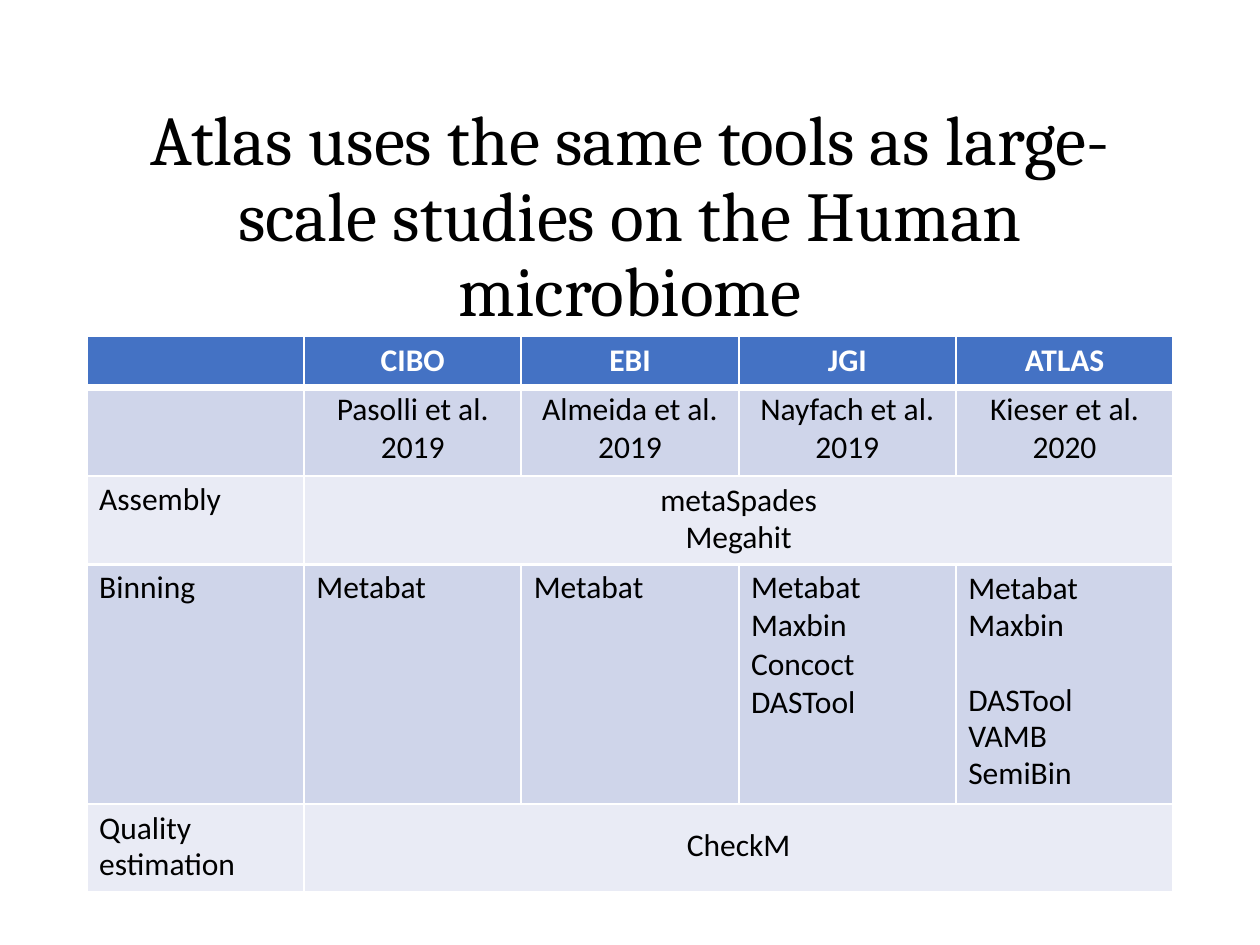
from dataclasses import dataclass

import pptx
import pptx.dml.color
import pptx.enum.text
import pptx.oxml
import pptx.oxml.ns
import pptx.presentation
import pptx.slide
import pptx.table
import pptx.util
from pptx.util import Cm, Pt

COLORS = {
    "text": "000000",
    "white": "FFFFFF",
    "header": "4472C4",
    "dark band": "CFD5EA",
    "light band": "E9EBF5",
}
ALIGN = pptx.enum.text.PP_ALIGN
COLUMN_COUNT = 5
COLUMN_WIDTH = Cm(4.38)
THIN, THICK = 1.5, 4.5


@dataclass(frozen=True)
class CellText:
    lines: tuple[str, ...] = ()
    centered: bool = False
    top: float = 0.08  # margin in cm
    line_points: float | None = None
    gap_before: str = ""  # line that follows a one-line gap
    span: int = 1


@dataclass(frozen=True)
class Row:
    height: float  # cm
    fill: str
    cells: tuple[CellText, ...]
    top_border: float = THIN
    bottom_border: float = THIN
    header: bool = False


def heading(name: str) -> CellText:
    return CellText((name,), centered=True, top=0.1)


def study(authors: str, year: str) -> CellText:
    return CellText((authors, year), centered=True, line_points=21.4)


ROWS = (
    Row(1.04, "header",
        (CellText(), *map(heading, ("CIBO", "EBI", "JGI", "ATLAS"))),
        bottom_border=THICK, header=True),
    Row(1.78, "dark band",
        (CellText(), study("Pasolli et al.", "2019"), study("Almeida et al.", "2019"),
         study("Nayfach et al.", "2019"), study("Kieser et al.", "2020")),
        top_border=THICK),
    Row(1.78, "light band",
        (CellText(("Assembly",)),
         CellText(("metaSpades", "Megahit"), centered=True, top=0.13,
                  line_points=21.1, span=4))),
    Row(4.83, "dark band",
        (CellText(("Binning",)), CellText(("Metabat",)), CellText(("Metabat",)),
         CellText(("Metabat", "Maxbin", "Concoct", "DASTool")),
         CellText(("Metabat", "Maxbin", "DASTool", "VAMB", "SemiBin"), top=0.13,
                  line_points=21.1, gap_before="DASTool"))),
    Row(1.78, "light band",
        (CellText(("Quality estimation",), top=0.13, line_points=21.1),
         CellText(("CheckM",), centered=True, top=0.45, span=4))),
)


def rgb(name: str) -> pptx.dml.color.RGBColor:
    return pptx.dml.color.RGBColor.from_string(COLORS[name])


def add_title(slide: pptx.slide.Slide, text: str) -> None:
    title = slide.shapes.title
    title.left, title.top, title.width, title.height = Cm(2.11), Cm(1.88), Cm(21.18), Cm(4.8)
    frame = title.text_frame
    frame.word_wrap = True
    frame.auto_size = pptx.enum.text.MSO_AUTO_SIZE.NONE
    frame.vertical_anchor = pptx.enum.text.MSO_ANCHOR.TOP
    frame.margin_left = frame.margin_right = frame.margin_bottom = 0
    frame.margin_top = Cm(0.23)
    frame.text = text
    paragraph = frame.paragraphs[0]
    paragraph.alignment = ALIGN.CENTER
    paragraph.line_spacing = Pt(43)
    paragraph.font.name = "Cambria"
    paragraph.font.size = Pt(40)
    paragraph.font.color.rgb = rgb("text")


def style_cell(cell: pptx.table._Cell, row: Row) -> None:
    """Draw the borders, then the fill, as the schema orders them."""
    properties = cell._tc.get_or_add_tcPr()
    widths = {"L": THIN, "R": THIN, "T": row.top_border, "B": row.bottom_border}
    for side, width in widths.items():
        properties.append(pptx.oxml.parse_xml(
            f'<a:ln{side} {pptx.oxml.ns.nsdecls("a")} w="{Pt(width)}"><a:solidFill>'
            f'<a:srgbClr val="{COLORS["white"]}"/></a:solidFill></a:ln{side}>'))
    cell.fill.solid()
    cell.fill.fore_color.rgb = rgb(row.fill)


def write_cell(cell: pptx.table._Cell, content: CellText, header: bool) -> None:
    cell.margin_left = 0 if content.centered else Cm(0.25)
    cell.margin_right = cell.margin_bottom = 0
    cell.margin_top = Cm(content.top)
    cell.text = "\n".join(content.lines)
    for paragraph, line in zip(cell.text_frame.paragraphs, content.lines):
        paragraph.alignment = ALIGN.CENTER if content.centered else ALIGN.LEFT
        if content.line_points:
            paragraph.line_spacing = Pt(content.line_points)
        if line == content.gap_before:
            paragraph.space_before = Pt(21.6)
        paragraph.font.name = "Calibri"
        paragraph.font.size = Pt(18)
        paragraph.font.bold = header
        paragraph.font.color.rgb = rgb("white" if header else "text")


def add_tool_table(slide: pptx.slide.Slide, rows: tuple[Row, ...]) -> None:
    height = Cm(sum(row.height for row in rows))
    table = slide.shapes.add_table(len(rows), COLUMN_COUNT, Cm(1.75), Cm(6.78),
                                   COLUMN_WIDTH * COLUMN_COUNT, height).table
    table.horz_banding = False
    for column in table.columns:
        column.width = COLUMN_WIDTH
    for row_index, row in enumerate(rows):
        table.rows[row_index].height = Cm(row.height)
        for column_index in range(COLUMN_COUNT):
            style_cell(table.cell(row_index, column_index), row)
        column_index = 0
        for content in row.cells:
            cell = table.cell(row_index, column_index)
            if content.span > 1:
                cell.merge(table.cell(row_index, column_index + content.span - 1))
            write_cell(cell, content, row.header)
            column_index += content.span


def main() -> None:
    presentation = pptx.Presentation()
    presentation.slide_width, presentation.slide_height = Cm(25.4), Cm(19.05)
    title_only = presentation.slide_layouts.get_by_name("Title Only")
    slide = presentation.slides.add_slide(title_only)
    add_title(slide, "Atlas uses the same tools as large-scale studies on the Human microbiome")
    add_tool_table(slide, ROWS)
    presentation.save("out.pptx")


if __name__ == "__main__":
    main()
